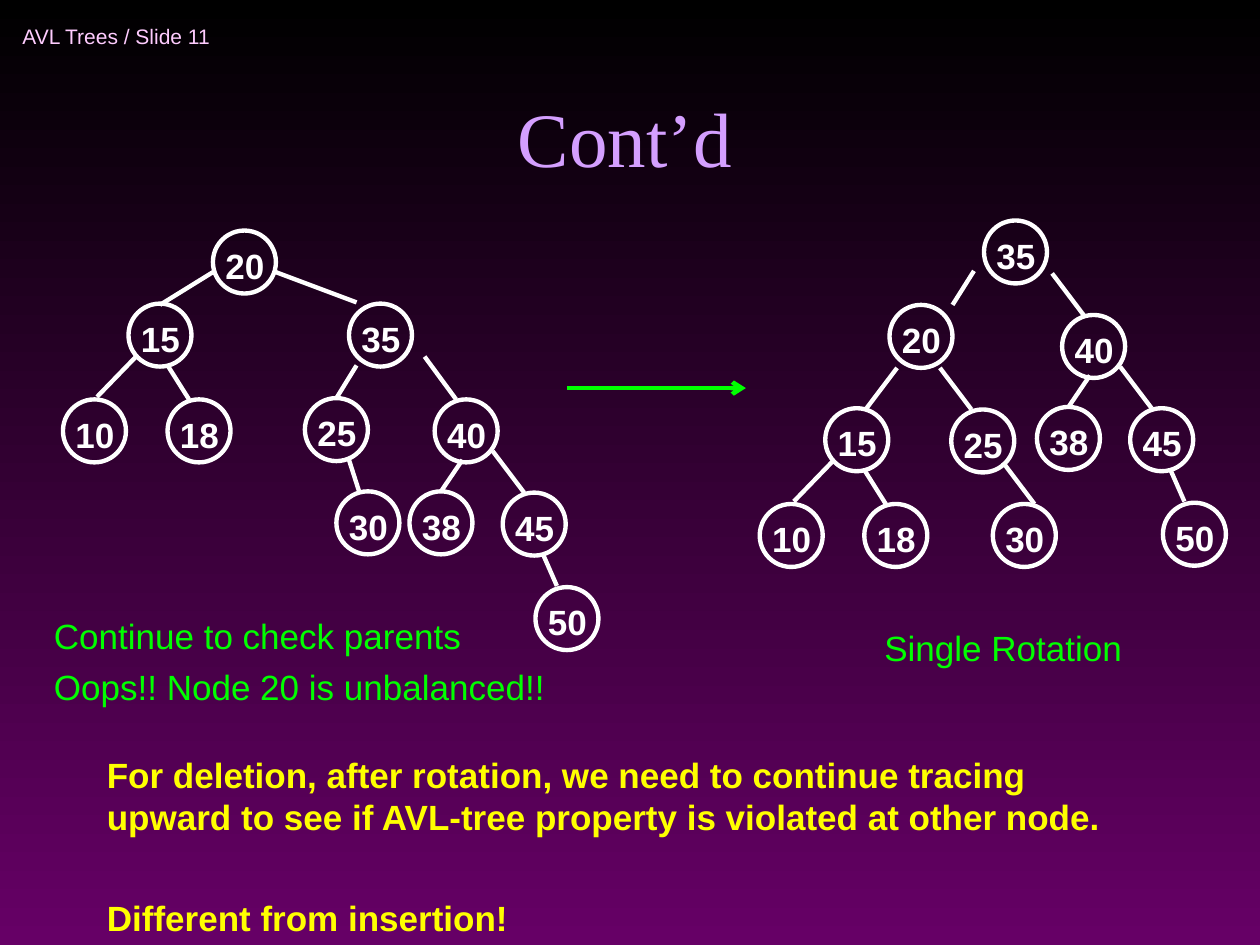
import pptx
import pptx.dml.color
import pptx.enum.shapes
import pptx.enum.text
import pptx.oxml
import pptx.util

Inches, Pt = pptx.util.Inches, pptx.util.Pt
RGB = pptx.dml.color.RGBColor
ALIGN = pptx.enum.text.PP_ALIGN
ANCHOR = pptx.enum.text.MSO_ANCHOR

BLACK = RGB(0x00, 0x00, 0x00)
PURPLE = RGB(0x66, 0x00, 0x66)
PINK = RGB(0xFF, 0xCC, 0xFF)
LILAC = RGB(0xD4, 0x9F, 0xFF)
WHITE = RGB(0xFF, 0xFF, 0xFF)
GREEN = RGB(0x00, 0xFF, 0x00)
YELLOW = RGB(0xFF, 0xFF, 0x00)

NODE = 0.5      # circle diameter
DROP = 0.06     # label offset below the circle's top

# Each tree part: nodes as (key, left, top), edges as (x1, y1, x2, y2).
LOW = {
    "nodes": [(15, 1.02, 2.41), (10, 0.5, 3.17), (18, 1.33, 3.17)],
    "edges": [(1.08, 2.83, 0.77, 3.15), (1.33, 2.9, 1.5, 3.17)],
}
HIGH = {
    "nodes": [(40, 3.45, 3.17), (38, 3.25, 3.9), (45, 3.99, 3.91),
              (50, 4.25, 4.66)],
    "edges": [(3.67, 3.65, 3.5, 3.9), (3.91, 3.58, 4.16, 3.91),
              (4.31, 4.4, 4.42, 4.65)],
}
BEFORE = {
    "nodes": [(20, 1.69, 1.83), (35, 2.77, 2.41), (25, 2.42, 3.16),
              (30, 2.67, 3.9)],
    "edges": [(1.69, 2.16, 1.27, 2.42), (2.19, 2.16, 2.83, 2.4),
              (2.83, 2.9, 2.67, 3.16), (3.37, 2.83, 3.62, 3.17),
              (2.77, 3.65, 2.85, 3.9)],
}
AFTER = {
    "nodes": [(35, 7.81, 1.75), (20, 7.06, 2.42), (25, 7.55, 3.25),
              (30, 7.88, 4)],
    "edges": [(7.73, 2.15, 7.56, 2.42), (8.35, 2.17, 8.6, 2.5),
              (7.12, 2.92, 6.87, 3.25), (7.46, 2.92, 7.71, 3.25),
              (7.96, 3.67, 8.21, 4)],
}
# The rotation moves the two outer subtrees as a whole.
PARTS = [(BEFORE, 0, 0), (LOW, 0, 0), (HIGH, 0, 0),
         (AFTER, 0, 0), (LOW, 5.53, 0.83), (HIGH, 4.98, -0.67)]


def assign(item, values):
    """Set each named attribute of an item."""
    for name, value in values.items():
        setattr(item, name, value)


class Deck:
    """Holds the style and the current slide."""

    font = {"name": "Arial", "size": Pt(20), "bold": False}
    para = {"alignment": ALIGN.LEFT, "space_before": Pt(5)}
    frame = {"word_wrap": False, "vertical_anchor": ANCHOR.TOP,
             "auto_size": pptx.enum.text.MSO_AUTO_SIZE.NONE}
    width = Pt(2.5)

    def __init__(self):
        """Open a title-only slide with a gradient background."""
        self.show = pptx.Presentation()
        assign(self.show, {"slide_width": Inches(10),
                           "slide_height": Inches(7.5)})
        self.slide = self.show.slides.add_slide(self.show.slide_layouts[5])
        fill = self.slide.background.fill
        fill.gradient()
        fill.gradient_angle = 270
        for stop, color in zip(fill.gradient_stops, (BLACK, PURPLE)):
            stop.color.rgb = color

    def style(self, shape, lines, color, font={}, para={}, frame={}):
        """Fill a shape with styled paragraphs."""
        body = shape.text_frame
        body.text = "\n".join(lines)
        assign(body, {**self.frame, **frame})
        for item in body.paragraphs:
            assign(item, {**self.para, **para})
            for run in item.runs:
                assign(run.font, {**self.font, **font})
                run.font.color.rgb = color
        return body

    def title(self, text, box):
        """Place and format the title."""
        shape = self.slide.shapes.title
        assign(shape, dict(zip(("left", "top", "width", "height"),
                               map(Inches, box))))
        self.style(shape, [text], LILAC,
                   {"name": "Times New Roman", "size": Pt(44)},
                   {"alignment": ALIGN.CENTER, "space_before": Pt(0)},
                   {"word_wrap": True, "vertical_anchor": ANCHOR.BOTTOM})

    def text(self, box, lines, color, **form):
        """Add a text box."""
        shape = self.slide.shapes.add_textbox(*map(Inches, box))
        return self.style(shape, lines, color, **form)

    def line(self, ends, color=WHITE, arrow=False):
        """Add a straight line, with an arrowhead if asked."""
        kind = pptx.enum.shapes.MSO_CONNECTOR.STRAIGHT
        link = self.slide.shapes.add_connector(kind, *map(Inches, ends))
        link.line.color.rgb = color
        link.line.width = self.width
        if arrow:
            tail = pptx.oxml.parse_xml(
                '<a:tailEnd xmlns:a="http://schemas.openxmlformats.org/'
                'drawingml/2006/main" type="arrow"/>')
            link.line._get_or_add_ln().append(tail)
        link._element.spPr.append(pptx.oxml.parse_xml(
            '<a:effectLst xmlns:a="http://schemas.openxmlformats.org/'
            'drawingml/2006/main"/>'))

    def node(self, key, left, top):
        """Add a circle and its key."""
        oval = self.slide.shapes.add_shape(
            pptx.enum.shapes.MSO_SHAPE.OVAL,
            *map(Inches, (left, top, NODE, NODE)))
        oval.shadow.inherit = False
        oval.fill.background()
        oval.line.color.rgb = WHITE
        oval.line.width = self.width
        self.text((left, top + DROP, 0.51, 0.44), [str(key)], WHITE,
                  font={"bold": True})

    def tree(self, part, right, down):
        """Draw a tree part, moved right and down."""
        for x1, y1, x2, y2 in part["edges"]:
            self.line((x1 + right, y1 + down, x2 + right, y2 + down))
        for key, left, top in part["nodes"]:
            self.node(key, left + right, top + down)


def main():
    """Build and save the slide."""
    deck = Deck()
    deck.text((0.08, 0.08, 2.75, 0.42), ["AVL Trees / Slide 11"], PINK,
              font={"size": Pt(12)}, para={"space_before": Pt(0)},
              frame={"word_wrap": True, "vertical_anchor": ANCHOR.MIDDLE})
    deck.title("Cont’d", (0.67, 0.25, 8.58, 1.25))
    note = deck.text(
        (0.75, 5.93, 8.43, 1.58),
        ["For deletion, after rotation, we need to continue tracing upward "
         "to see if AVL-tree property is violated at other node.",
         "Different from insertion!"],
        YELLOW, font={"bold": True}, frame={"word_wrap": True})
    note.paragraphs[1].space_before = Pt(34)
    for part in PARTS:
        deck.tree(*part)
    deck.text((0.33, 4.83, 4.1, 1.24),
              ["Continue to check parents", "Oops!! Node 20 is unbalanced!!"],
              GREEN)
    deck.line((4.5, 3.08, 5.92, 3.08), GREEN, arrow=True)
    deck.text((6.92, 4.92, 2.09, 0.84), ["Single Rotation"], GREEN)
    deck.show.save("out.pptx")


main()
